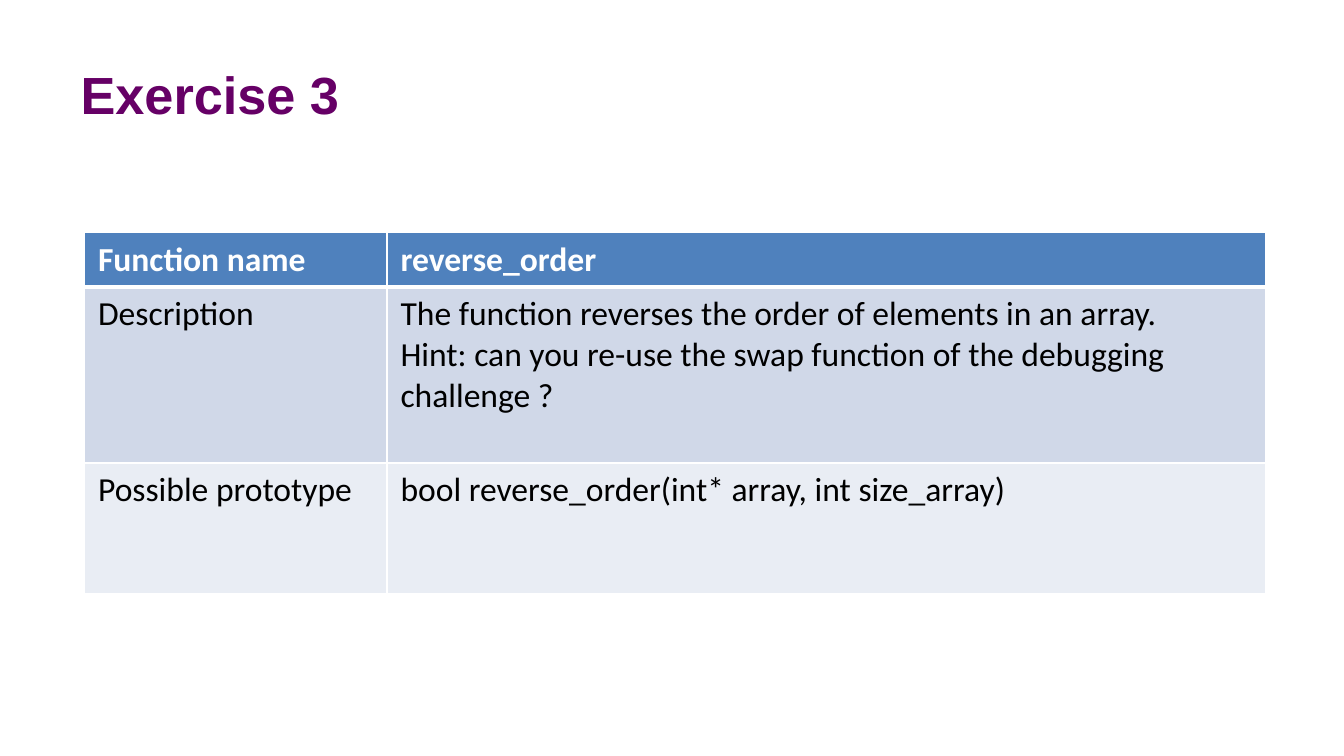
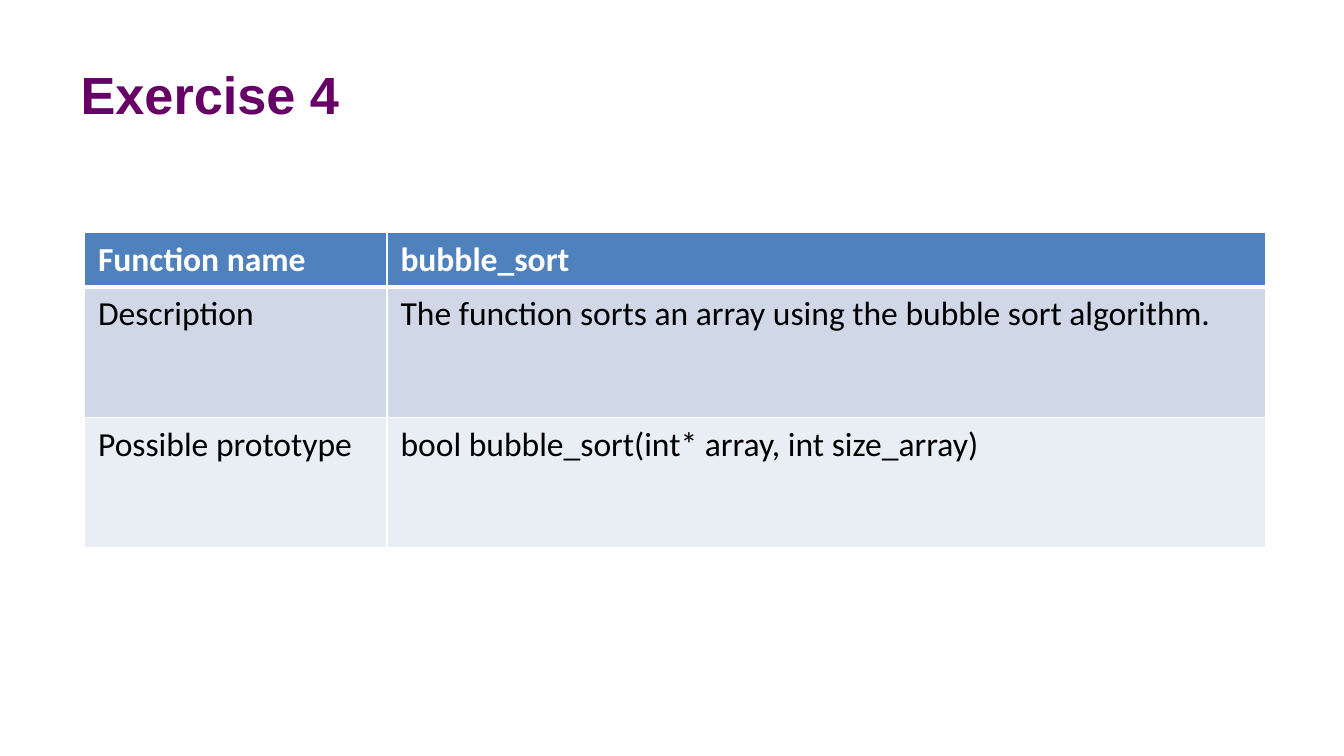
import lxml.etree
import pptx
import pptx.dml.color
import pptx.enum.text
import pptx.oxml.ns
import pptx.util

Inches = pptx.util.Inches
PURPLE, BLUE, WHITE, BLACK = "660066", "4F81BD", "FFFFFF", "000000"
BANDS = ("D0D8E8", "E9EDF4")
COLUMN_WIDTHS = (2.25, 6.54)
HEADER_HEIGHT, ROW_HEIGHT, TALL_ROW_HEIGHT = 0.4, 0.97, 1.31

EXERCISES = [
    (
        "Exercise 3",
        "reverse_order",
        "The function reverses the order of elements in an array. \v"
        "Hint: can you re-use the swap function of the debugging challenge ?",
        "bool reverse_order(int* array, int size_array)",
        TALL_ROW_HEIGHT,
    ),
    (
        "Exercise 4",
        "bubble_sort",
        "The function sorts an array using the bubble sort algorithm.",
        "bool bubble_sort(int* array, int size_array)",
        ROW_HEIGHT,
    ),
]


def color(value):
    return pptx.dml.color.RGBColor.from_string(value)


class ExerciseDeck:
    """Builds exercise slides in one shared style."""

    def __init__(self):
        self.deck = pptx.Presentation()
        self.deck.slide_width = Inches(10)
        self.deck.slide_height = Inches(10) * 9 // 16
        self.slide = None

    def add_slide(self, title):
        self.slide = self.deck.slides.add_slide(self.deck.slide_layouts[5])
        box = self.slide.shapes.title
        box.left, box.top = Inches(0.5), Inches(0.23)
        box.width, box.height = Inches(9), Inches(0.94)
        frame = box.text_frame
        frame.text = title
        frame.vertical_anchor = pptx.enum.text.MSO_ANCHOR.MIDDLE
        frame.paragraphs[0].alignment = pptx.enum.text.PP_ALIGN.LEFT
        self.format_text(frame, "Arial", 28, PURPLE, True)

    def format_text(self, frame, font, size, text_color, bold):
        for para in frame.paragraphs:
            for span in para.runs:
                span.font.name = font
                span.font.size = pptx.util.Pt(size)
                span.font.bold = bold
                span.font.color.rgb = color(text_color)

    def add_border(self, cell, side, width):
        qn = pptx.oxml.ns.qn
        properties = cell._tc.get_or_add_tcPr()
        line = lxml.etree.SubElement(properties, qn(f"a:ln{side}"), w=str(pptx.util.Pt(width)))
        fill = lxml.etree.SubElement(line, qn("a:solidFill"))
        lxml.etree.SubElement(fill, qn("a:srgbClr"), val=WHITE)

    def format_cell(self, cell, text, row):
        header = row == 0
        widths = {"L": 1, "R": 1, "T": 3 if row == 1 else 1, "B": 3 if header else 1}
        for side, width in widths.items():
            self.add_border(cell, side, width)
        cell.fill.solid()
        cell.fill.fore_color.rgb = color(BLUE if header else BANDS[(row - 1) % 2])
        cell.text_frame.text = text
        self.format_text(cell.text_frame, "Calibri", 18, WHITE if header else BLACK, header)

    def add_table(self, rows, heights):
        table = self.slide.shapes.add_table(
            len(rows), len(COLUMN_WIDTHS), Inches(0.63), Inches(1.73),
            Inches(sum(COLUMN_WIDTHS)), Inches(sum(heights)),
        ).table
        for column, width in zip(table.columns, COLUMN_WIDTHS):
            column.width = Inches(width)
        for index, (texts, height) in enumerate(zip(rows, heights)):
            table.rows[index].height = Inches(height)
            for column, text in enumerate(texts):
                self.format_cell(table.cell(index, column), text, index)


def main():
    builder = ExerciseDeck()
    for title, name, description, prototype, description_height in EXERCISES:
        builder.add_slide(title)
        rows = [
            ("Function name", name),
            ("Description", description),
            ("Possible prototype", prototype),
        ]
        builder.add_table(rows, (HEADER_HEIGHT, description_height, ROW_HEIGHT))
    builder.deck.save("out.pptx")


if __name__ == "__main__":
    main()
